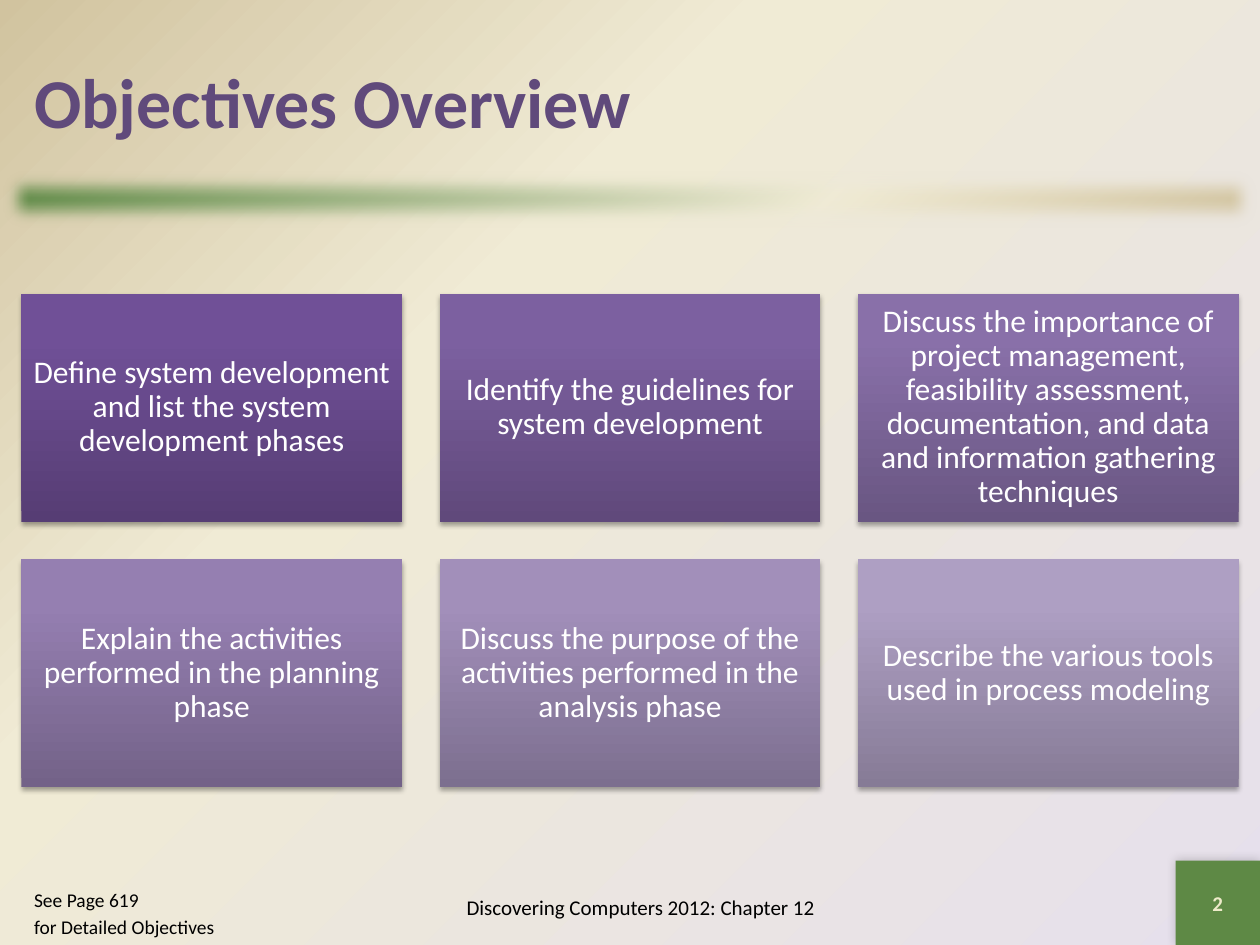
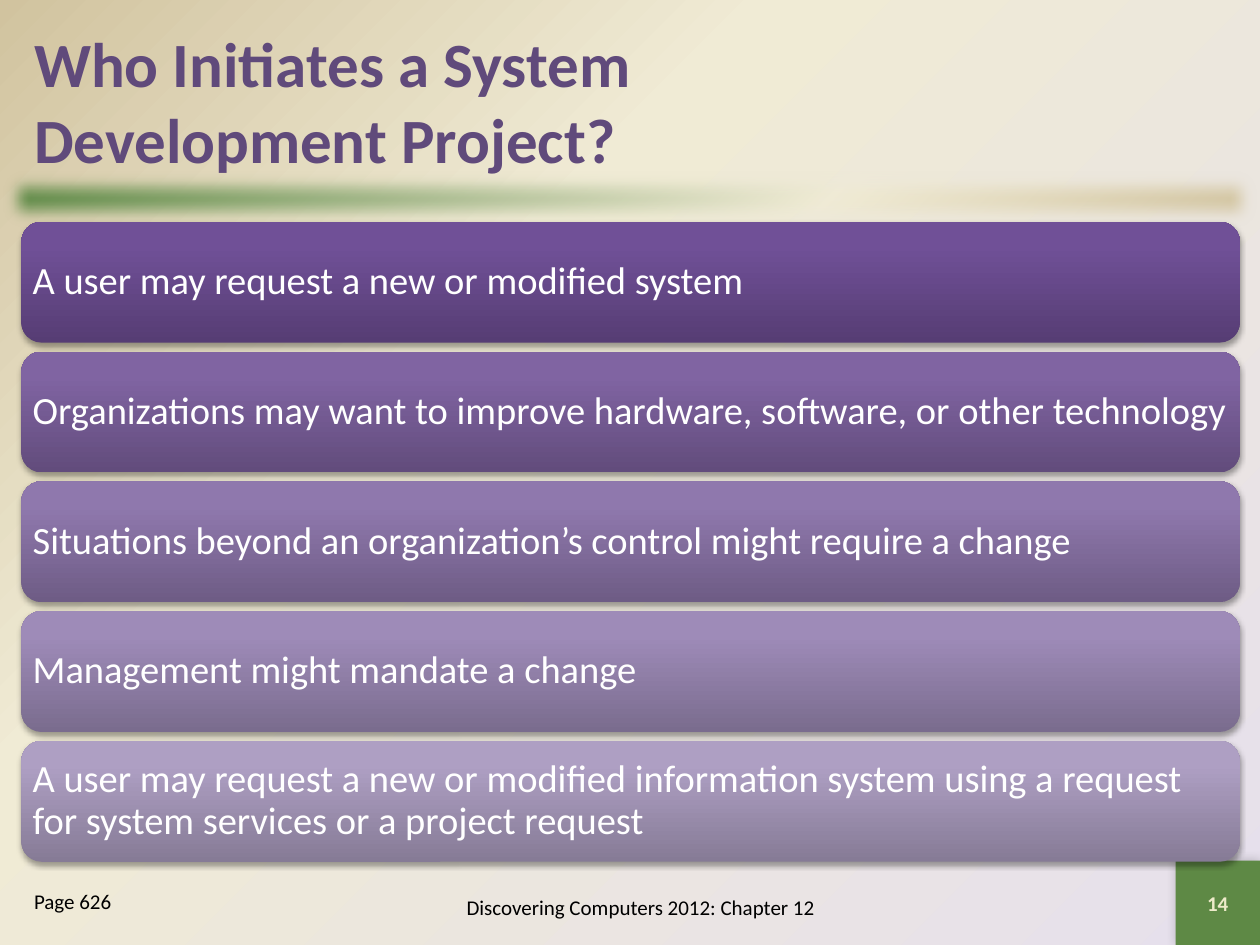
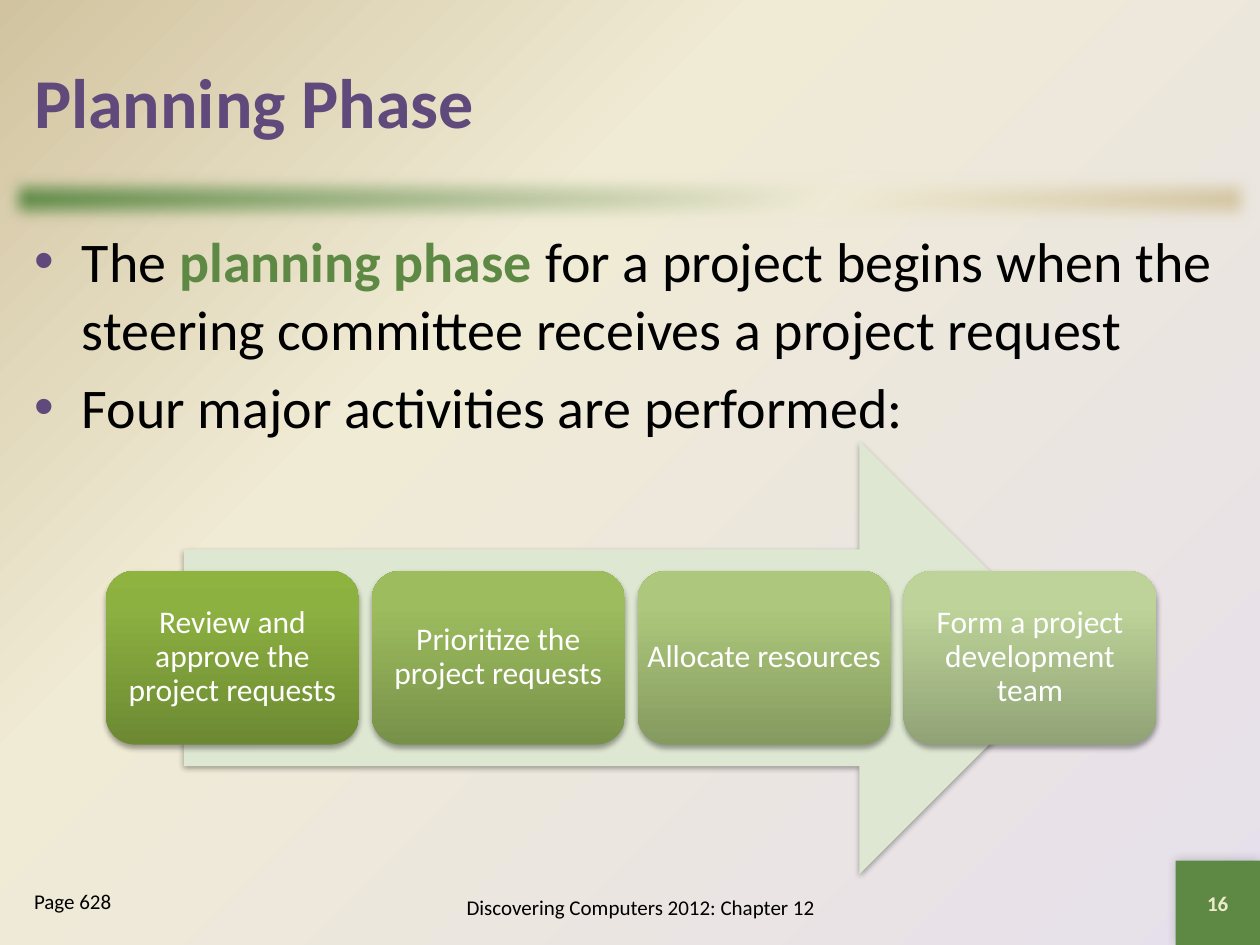
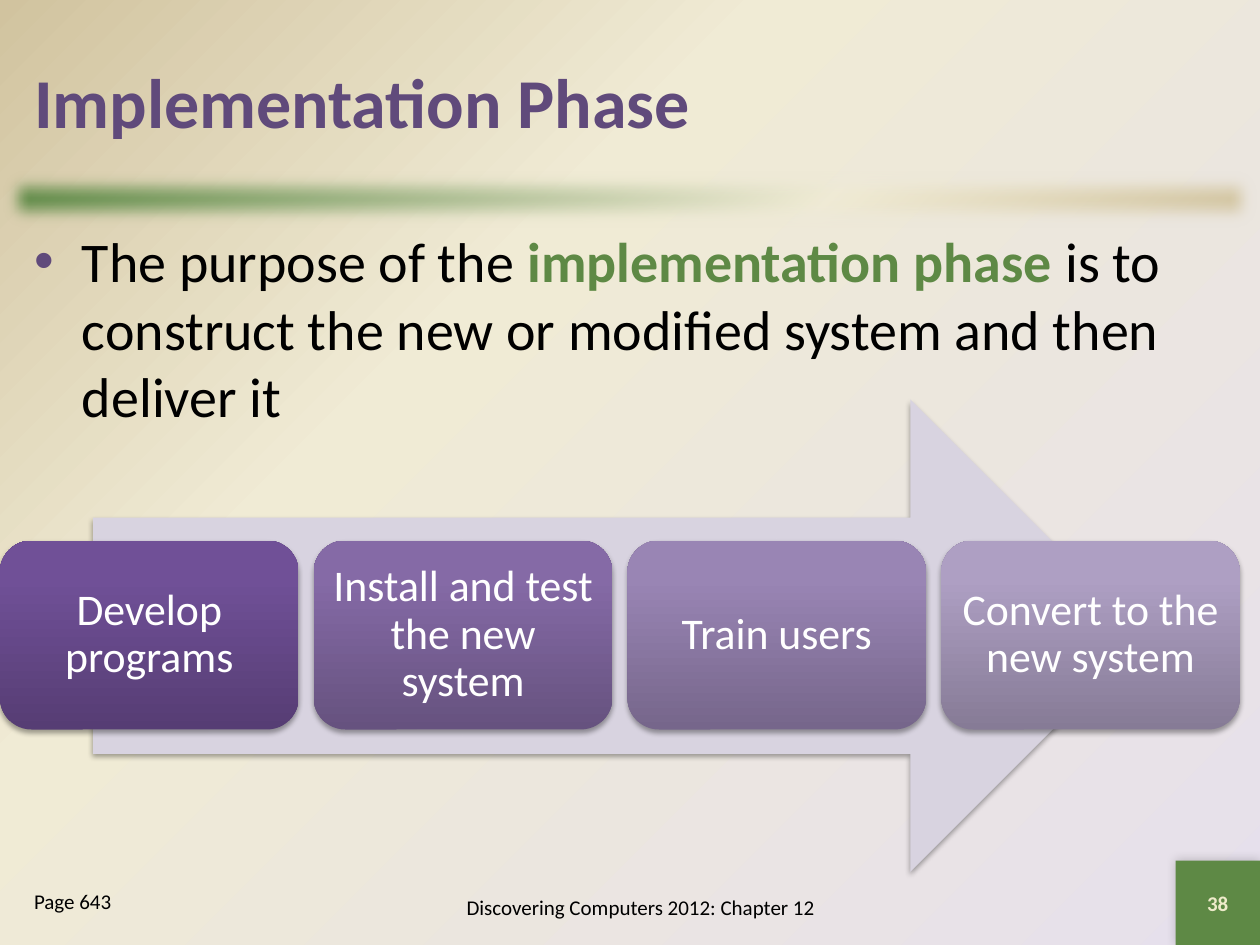
"""Build four chapter slides on system development."""
from dataclasses import dataclass

from pptx import Presentation
from pptx import util as u
from pptx.dml.color import RGBColor
from pptx.enum import shapes, text
from pptx.oxml import parse_xml
from pptx.oxml.ns import nsdecls, qn

SHAPE = shapes.MSO_SHAPE
ALIGN = text.PP_ALIGN
ANCHOR = text.MSO_ANCHOR


@dataclass(frozen=True)
class Theme:
    """Colours, gradients and type sizes shared by the slides."""

    font: str = "Calibri"
    ink: str = "000000"
    white: str = "FFFFFF"
    title: str = "604A7B"
    green: str = "5E8945"
    cream: str = "F0EBD5"
    tan: str = "D1C39F"
    lilac: str = "E6E0EC"
    number: str = "EEEBCA"
    purple_arrow: str = "D8D3E0"
    green_arrow: str = "DEE7D1"
    purples: tuple = (("563D74", "705097", "704F99"), ("867B96", "AE9FC3", "AE9FC4"))
    greens: tuple = (("6C8932", "8DB141", "8EB43F"), ("91A276", "BDD399", "BED599"))
    title_size: float = 40
    long_title_size: float = 36
    body_size: float = 32
    step_size: float = 25
    row_size: float = 22
    card_size: float = 18
    small_size: float = 12
    reference_size: float = 11.1


T = Theme()
FOOTER = "Discovering Computers 2012: Chapter 12"


def box(left, top, width, height):
    """Return a position and size in inches as lengths."""
    return [u.Inches(v) for v in (left, top, width, height)]


def place(sp, at):
    """Move a placeholder to a position in inches."""
    sp.left, sp.top, sp.width, sp.height = box(*at)


def write(tf, paragraphs, size=T.small_size, color=T.ink, bold=False, align=ALIGN.LEFT,
          anchor=ANCHOR.TOP, inset=None, line_spacing=None, bullet=None):
    """Fill a text frame; a paragraph is a string or a list of (text, format) runs."""
    tf.word_wrap = True
    tf.auto_size = text.MSO_AUTO_SIZE.NONE
    tf.vertical_anchor = anchor
    if inset is not None:
        tf.margin_left = tf.margin_right = tf.margin_top = tf.margin_bottom = u.Inches(inset)
    for i, runs in enumerate(paragraphs):
        p = tf.add_paragraph() if i else tf.paragraphs[0]
        if bullet:
            set_bullet(p, bullet)
        p.alignment = align
        p.line_spacing = line_spacing
        p.space_before = u.Pt(0.2 * size if i else 0)
        for words, look in [(runs, {})] if isinstance(runs, str) else runs:
            for n, line in enumerate(words.split("\n")):
                if n:
                    p.add_line_break()
                r = p.add_run()
                r.text = line
                r.font.name = T.font
                r.font.size = u.Pt(size)
                r.font.bold = look.get("bold", bold)
                r.font.color.rgb = RGBColor.from_string(look.get("color", color))


def set_bullet(p, bullet):
    """Give a paragraph a hanging indent and a bullet, or none."""
    pPr = p._p.get_or_add_pPr()
    pPr.set("marL", str(u.Inches(0.38)))
    pPr.set("indent", str(-u.Inches(0.38)))
    if bullet == "none":
        pPr.append(parse_xml(f'<a:buNone {nsdecls("a")}/>'))
        return
    pPr.append(parse_xml(f'<a:buClr {nsdecls("a")}><a:srgbClr val="{T.title}"/></a:buClr>'))
    pPr.append(parse_xml(f'<a:buFont {nsdecls("a")} typeface="Arial"/>'))
    pPr.append(parse_xml(f'<a:buChar {nsdecls("a")} char="{bullet}"/>'))


def set_gradient(parent, stops, angle=None):
    """Replace a solid fill by a linear gradient, or a corner one without angle."""
    marks = "".join(f'<a:gs pos="{pos * 1000}"><a:srgbClr val="{color}"/></a:gs>'
                    for pos, color in stops)
    if angle is None:
        way = '<a:path path="circle"><a:fillToRect l="100000" t="100000"/></a:path>'
    else:
        way = f'<a:lin ang="{angle * 60000}" scaled="0"/>'
    grad = parse_xml(f'<a:gradFill {nsdecls("a")} rotWithShape="1">'
                     f'<a:gsLst>{marks}</a:gsLst>{way}</a:gradFill>')
    parent.replace(parent.find(qn("a:solidFill")), grad)


def add_effect(sp, xml):
    """Append one effect to a shape's effect list."""
    sp.element.spPr.find(qn("a:effectLst")).append(parse_xml(xml))


def add_shadow(sp, alpha=35, blur=3.1, dist=1.8, angle=90):
    """Give a shape a soft black shadow."""
    add_effect(sp, f'<a:outerShdw {nsdecls("a")} blurRad="{u.Pt(blur)}" dist="{u.Pt(dist)}" '
                   f'dir="{angle * 60000}" rotWithShape="0"><a:srgbClr val="000000">'
                   f'<a:alpha val="{alpha * 1000}"/></a:srgbClr></a:outerShdw>')


def add_block(s, kind, at, color):
    """Add a filled shape without outline or shadow."""
    sp = s.shapes.add_shape(kind, *box(*at))
    sp.shadow.inherit = False
    sp.line.fill.background()
    sp.fill.solid()
    sp.fill.fore_color.rgb = RGBColor.from_string(color)
    return sp


def add_label(s, at, words, **look):
    """Add a centred text box."""
    tf = s.shapes.add_textbox(*box(*at)).text_frame
    write(tf, [words], align=ALIGN.CENTER, anchor=ANCHOR.MIDDLE, **look)


def blend(start, end, t):
    """Mix two hex colours."""
    pairs = zip(RGBColor.from_string(start), RGBColor.from_string(end))
    return "".join(f"{round(a + (b - a) * t):02X}" for a, b in pairs)


def add_cards(s, labels, at, pitch, cols, family=T.purples, kind=SHAPE.ROUNDED_RECTANGLE,
              size=T.card_size, inset=0.07, align=ALIGN.CENTER):
    """Lay out gradient cards in a grid, fading from first to last."""
    left, top, width, height = at
    corner = 0.049 * height if kind == SHAPE.ROUNDED_RECTANGLE else 0
    pad = max(0, inset - corner)
    for i, label in enumerate(labels):
        row, col = divmod(i, cols)
        colors = [blend(a, b, i / (len(labels) - 1)) for a, b in zip(*family)]
        spot = (left + col * pitch[0], top + row * pitch[1], width, height)
        sp = add_block(s, kind, spot, colors[0])
        set_gradient(sp.element.spPr, zip((0, 80, 100), colors), 270)
        add_shadow(sp)
        write(sp.text_frame, [label], size=size, color=T.white, align=align,
              anchor=ANCHOR.MIDDLE, inset=pad, line_spacing=0.9)


def add_arrow(s, at, color):
    """Add the pale arrow behind a row of steps."""
    add_shadow(add_block(s, SHAPE.RIGHT_ARROW, at, color))


def add_slide(prs, title, number, reference, body=None, title_size=T.title_size,
              reference_size=T.small_size):
    """Add a slide with title, optional bullets, page reference, footer and number."""
    s = prs.slides.add_slide(prs.slide_layouts[3 if body else 1])
    place(s.shapes.title, (0.17, 0.17, 9.67, 1.25))
    write(s.shapes.title.text_frame, [title], size=title_size, color=T.title, bold=True,
          anchor=ANCHOR.MIDDLE)
    if body:
        place(s.placeholders[1], (0.17, 1.75, 9.67, 5.08))
        write(s.placeholders[1].text_frame, body, size=T.body_size, bullet="•")
    note = s.placeholders[2 if body else 1]
    place(note, (0.17, 7, 1.83, 0.5))
    write(note.text_frame, reference, size=reference_size, bullet="none")
    add_label(s, (3, 6.95, 4.17, 0.5), FOOTER)
    add_label(s, (9.33, 6.83, 0.67, 0.67), number, color=T.number, bold=True)
    return s


def decorate_master(prs, s):
    """Set the master background and move band and number square to the master."""
    master = prs.slide_master
    master.background.fill.solid()
    master.background.fill.fore_color.rgb = RGBColor.from_string(T.cream)
    set_gradient(master.element.find(".//" + qn("p:bgPr")),
                 [(0, T.lilac), (65, T.cream), (100, T.tan)])
    band = add_block(s, SHAPE.RECTANGLE, (0, 1.33, 10, 0.5), T.green)
    set_gradient(band.element.spPr, [(0, T.green), (65, T.cream), (100, T.tan)], 45)
    add_effect(band, f'<a:softEdge {nsdecls("a")} rad="{u.Pt(10)}"/>')
    square = add_block(s, SHAPE.RECTANGLE, (9.33, 6.83, 0.67, 0.67), T.green)
    add_shadow(square, alpha=20, blur=6, dist=0, angle=225)
    for i, sp in enumerate((band, square)):
        master.shapes.element.insert(2 + i, sp.element)


def main():
    """Build and save the slides."""
    prs = Presentation()
    prs.slide_width, prs.slide_height = u.Inches(10), u.Inches(7.5)
    key = {"color": T.green, "bold": True}

    s = add_slide(prs, "Objectives Overview", "2",
                  ["See Page 619", "for Detailed Objectives"],
                  reference_size=T.reference_size)
    add_cards(s, ["Define system development and list the system development phases",
                  "Identify the guidelines for system development",
                  "Discuss the importance of project management, feasibility assessment, "
                  "documentation, and data and information gathering techniques",
                  "Explain the activities performed in the planning phase",
                  "Discuss the purpose of the activities performed in the analysis phase",
                  "Describe the various tools used in process modeling"],
              (0.17, 2.33, 3.02, 1.81), (3.32, 2.11), 3, kind=SHAPE.RECTANGLE)

    s = add_slide(prs, "Who Initiates a System \nDevelopment Project?", "14", ["Page 626"],
                  title_size=T.long_title_size)
    add_cards(s, ["A user may request a new or modified system",
                  "Organizations may want to improve hardware, software, or other technology",
                  "Situations beyond an organization’s control might require a change",
                  "Management might mandate a change",
                  "A user may request a new or modified information system using a request "
                  "for system services or a project request"],
              (0.17, 1.76, 9.67, 0.96), (0, 1.03), 1, size=T.row_size, inset=0.09,
              align=ALIGN.LEFT)

    s = add_slide(prs, "Planning Phase", "16", ["Page 628"], body=[
        [("The ", {}), ("planning phase ", key),
         ("for a project begins when the steering committee receives a project request", {})],
        "Four major activities are performed:"])
    add_arrow(s, (1.46, 3.5, 7.08, 3.44), T.green_arrow)
    add_cards(s, ["Review and approve the project requests", "Prioritize the project requests",
                  "Allocate resources", "Form a project development team"],
              (0.84, 4.53, 2.01, 1.38), (2.11, 0), 4, family=T.greens)

    s = add_slide(prs, "Implementation Phase", "38", ["Page 643"], body=[
        [("The purpose of the ", {}), ("implementation phase ", key),
         ("is to construct the new or modified system and then deliver it", {})]])
    add_arrow(s, (0.74, 3.17, 8.36, 3.75), T.purple_arrow)
    add_cards(s, ["Develop programs", "Install and test the new system", "Train users",
                  "Convert to the new system"],
              (0, 4.29, 2.37, 1.5), (2.49, 0), 4, size=T.step_size, inset=0.1)

    decorate_master(prs, s)
    prs.save("out.pptx")


if __name__ == "__main__":
    main()
